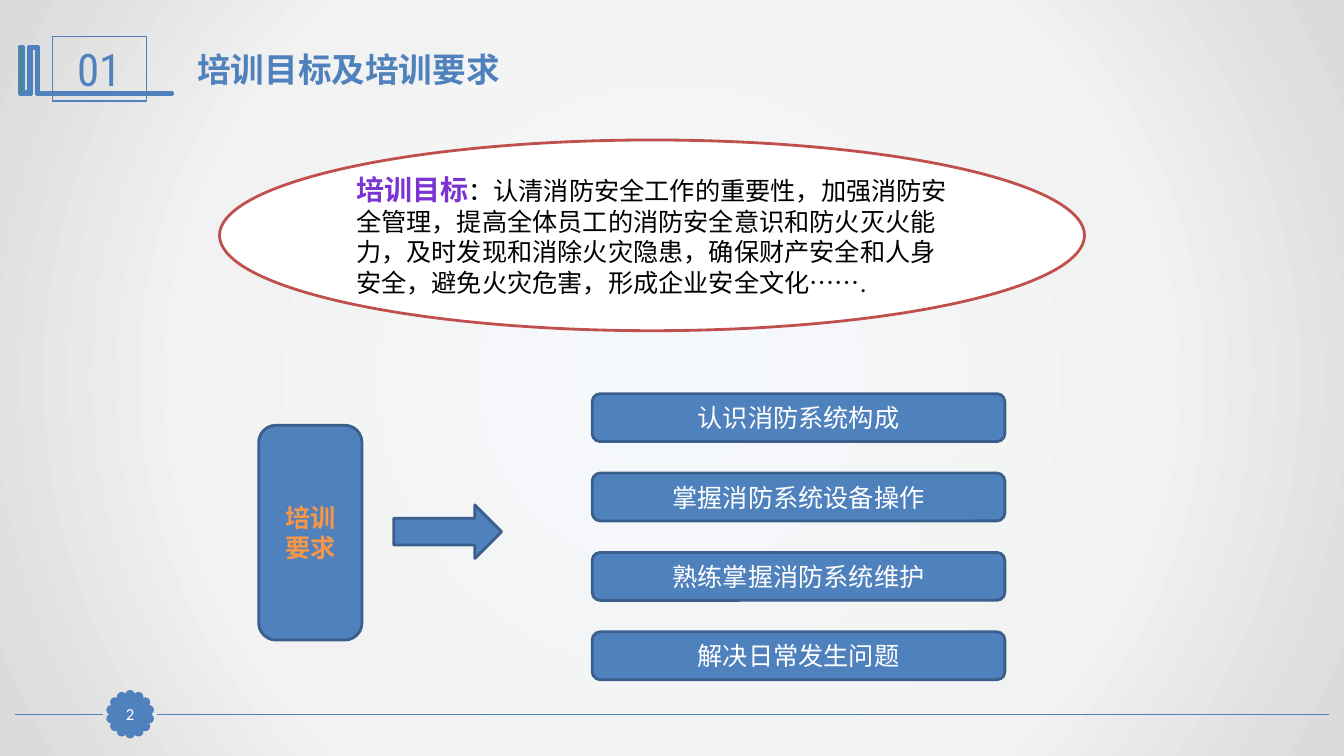
import math
import pptx
import pptx.util
import pptx.dml.color
import pptx.enum.shapes
import pptx.enum.text
import pptx.oxml
import pptx.oxml.ns

Pt = pptx.util.Pt
SHAPE = pptx.enum.shapes.MSO_SHAPE
ALIGN = pptx.enum.text.PP_ALIGN
ANCHOR = pptx.enum.text.MSO_ANCHOR
COLORS = {"blue": "4F81BD", "navy": "3A5F8C", "red": "C0504D", "green": "339933",
          "orange": "F79646", "white": "FFFFFF", "black": "000000", "violet": "5E457C"}
NS = pptx.oxml.ns.nsdecls("a")

presentation = pptx.Presentation()
presentation.slide_width, presentation.slide_height = Pt(960), Pt(540)
slide = presentation.slides.add_slide(presentation.slide_layouts[6])
shapes = slide.shapes


def rgb(name):
    return pptx.dml.color.RGBColor.from_string(COLORS[name])


def add_box(kind, left, top, width, height, fill, line, weight, text="", size=18,
            color="white", bold=False, font="Calibri"):
    box = shapes.add_shape(kind, Pt(left), Pt(top), Pt(width), Pt(height))
    box.shadow.inherit = False
    if fill:
        box.fill.solid()
        box.fill.fore_color.rgb = rgb(fill)
    else:
        box.fill.background()
    box.line.color.rgb = rgb(line)
    box.line.width = Pt(weight)
    if text:
        box.text_frame.vertical_anchor = ANCHOR.MIDDLE
        paragraph = box.text_frame.paragraphs[0]
        paragraph.text = text
        paragraph.alignment = ALIGN.CENTER
        paragraph.font.name, paragraph.font.size = font, Pt(size)
        paragraph.font.bold, paragraph.font.color.rgb = bold, rgb(color)
    return box


# Background: radial gradient
slide.background.fill.solid()
background = slide.background._cSld.bg.bgPr
background.replace(background[0], pptx.oxml.parse_xml(
    f'<a:gradFill {NS} rotWithShape="1"><a:gsLst>'
    '<a:gs pos="0"><a:srgbClr val="F6F9FC"/></a:gs>'
    '<a:gs pos="63000"><a:srgbClr val="F2F2F2"/></a:gs>'
    '<a:gs pos="100000"><a:srgbClr val="D9D9D9"/></a:gs></a:gsLst>'
    '<a:path path="circle"><a:fillToRect l="50000" t="50000" r="50000" b="50000"/></a:path>'
    '</a:gradFill>'))

# Footer rule, broken around the page badge
for start, end in ((949, 112.5), (73.5, 11)):
    rule = shapes.add_connector(pptx.enum.shapes.MSO_CONNECTOR.STRAIGHT,
                                Pt(start), Pt(510.3), Pt(end), Pt(510.3))
    rule.line.color.rgb = rgb("blue")
    rule.line.width = Pt(1.25)
    rule._element.spPr.append(pptx.oxml.parse_xml(f"<a:effectLst {NS}/>"))

# Scalloped edge of the page badge
DOTS, DOT_SIZE, RING_RADIUS = 14, 5, 13.8
for index in range(DOTS):
    angle = 2 * math.pi * index / DOTS
    add_box(SHAPE.OVAL, 93 + RING_RADIUS * math.sin(angle) - DOT_SIZE / 2,
            510.2 - RING_RADIUS * math.cos(angle) - DOT_SIZE / 2,
            DOT_SIZE, DOT_SIZE, "blue", "blue", 2)

# Bracket behind the section number
corners = [(26.6, 33.1), (27.4, 33.1), (27.4, 66.2), (123.1, 66.2), (123.1, 67.4),
           (25.9, 67.4), (25.9, 34.6), (22.3, 34.6), (22.3, 67.4), (13.7, 67.4),
           (13.7, 33.1), (16.6, 33.1), (16.6, 65.5), (20.2, 65.5), (20.2, 33.1)]
outline = [(Pt(x), Pt(y)) for x, y in corners]
builder = shapes.build_freeform(*outline[0])
builder.add_line_segments(outline[1:], close=True)
bracket = builder.convert_to_shape()
bracket.shadow.inherit = False
bracket.fill.solid()
bracket.fill.fore_color.rgb = rgb("green")
bracket.line.color.rgb = rgb("blue")
bracket.line.width = Pt(2)

# Section number and page number
add_box(SHAPE.RECTANGLE, 37.3, 26, 67.2, 46.2, None, "blue", 0.75,
        "01", 32, "blue", font="Roboto Condensed")
page = add_box(SHAPE.RECTANGLE, 81.6, 499, 22.8, 22.4, "blue", "blue", 0.75, "2", 12)
page.text_frame.margin_left = page.text_frame.margin_right = 0
page.text_frame.margin_top = page.text_frame.margin_bottom = 0

# Title
title = shapes.add_textbox(Pt(133.9), Pt(31.7), Pt(697.7), Pt(36)).text_frame
title.word_wrap = True
heading = title.paragraphs[0]
heading.text = "培训目标及培训要求"
heading.font.name, heading.font.size = "Calibri", Pt(24)
heading.font.bold, heading.font.color.rgb = True, rgb("blue")

# Training goal
goal = add_box(SHAPE.OVAL, 156.8, 100, 617.8, 136.2, "white", "red", 2).text_frame
goal.vertical_anchor = ANCHOR.TOP
statement = goal.paragraphs[0]
statement.alignment = ALIGN.LEFT
statement.font.name = "Calibri"
label = statement.add_run()
label.text = "培训目标"
label.font.size, label.font.bold = Pt(20), True
label_properties = label.font._element
label_properties.append(pptx.oxml.parse_xml(
    f'<a:ln {NS} w="9017"><a:solidFill><a:srgbClr val="{COLORS["violet"]}"/></a:solidFill></a:ln>'))
label_properties.append(pptx.oxml.parse_xml(
    f'<a:gradFill {NS}><a:gsLst>'
    '<a:gs pos="0"><a:srgbClr val="3D1B67"/></a:gs>'
    '<a:gs pos="43000"><a:srgbClr val="7B34D2"/></a:gs>'
    '<a:gs pos="48000"><a:srgbClr val="7330C4"/></a:gs>'
    '<a:gs pos="100000"><a:srgbClr val="3D1B67"/></a:gs></a:gsLst>'
    '<a:lin ang="5400000"/></a:gradFill>'))
details = statement.add_run()
details.text = ("：认清消防安全工作的重要性，加强消防安全管理，提高全体员工的消防安全意识和防火灭火能力，"
                "及时发现和消除火灾隐患，确保财产安全和人身安全，避免火灾危害，形成企业安全文化…….")
details.font.size, details.font.color.rgb = Pt(18), rgb("black")

# Training requirements
add_box(SHAPE.FLOWCHART_ALTERNATE_PROCESS, 184.8, 303.8, 73.8, 153.4, "blue", "navy", 2,
        "培训要求", color="orange", bold=True)
add_box(SHAPE.RIGHT_ARROW, 281.3, 360.7, 77, 38.2, "blue", "navy", 2)
requirements = ["认识消防系统构成", "掌握消防系统设备操作", "熟练掌握消防系统维护", "解决日常发生问题"]
for row, requirement in enumerate(requirements):
    add_box(SHAPE.FLOWCHART_ALTERNATE_PROCESS, 423, 281.2 + 56.7 * row, 294.8, 34.2,
            "blue", "navy", 2, requirement)

presentation.save("out.pptx")
